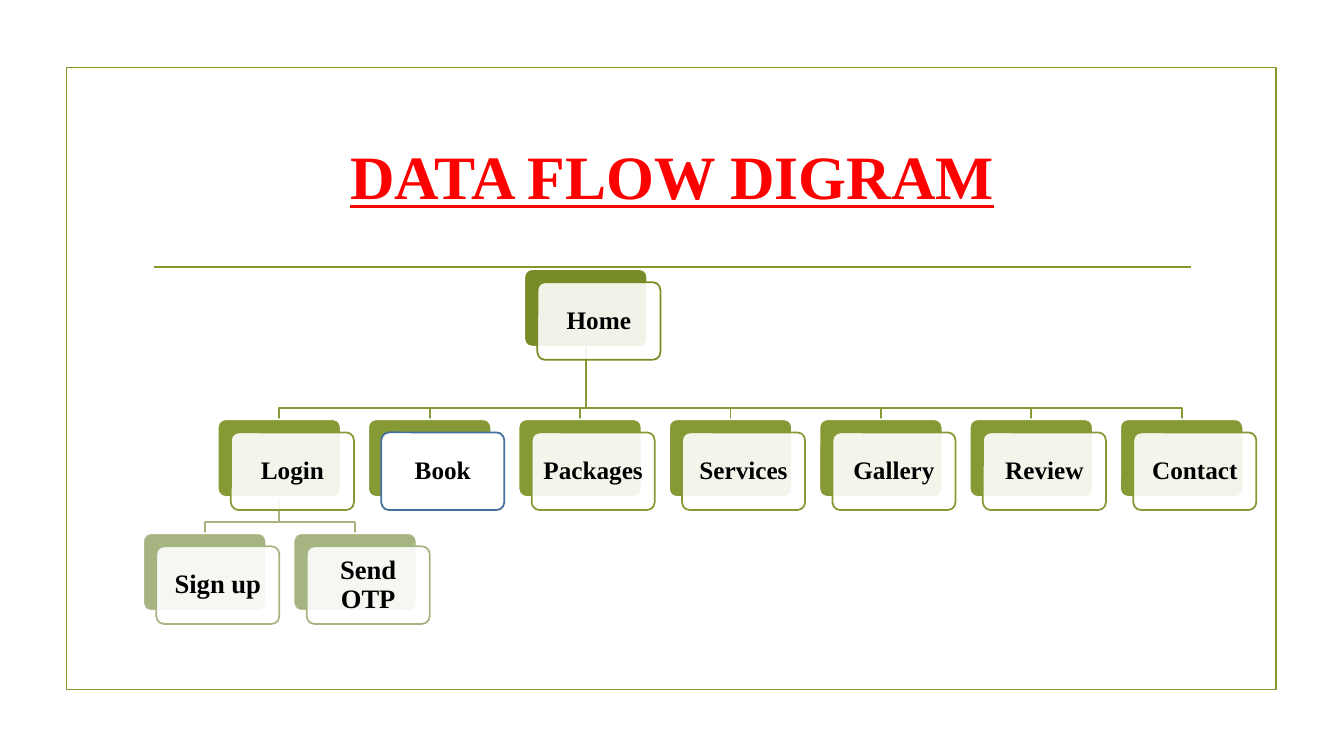
from dataclasses import dataclass
from lxml.etree import SubElement
from pptx import Presentation
from pptx.dml.color import RGBColor
from pptx.enum.shapes import MSO_CONNECTOR, MSO_SHAPE
from pptx.enum.text import MSO_ANCHOR, PP_ALIGN
from pptx.oxml.ns import qn
from pptx.util import Inches, Pt


@dataclass(frozen=True)
class Theme:
    font: str = "Times New Roman"
    title: RGBColor = RGBColor(0xFF, 0x00, 0x00)
    text: RGBColor = RGBColor(0x00, 0x00, 0x00)
    white: RGBColor = RGBColor(0xFF, 0xFF, 0xFF)
    frame: RGBColor = RGBColor(0x83, 0x99, 0x2A)
    root: RGBColor = RGBColor(0x77, 0x8B, 0x26)
    page: RGBColor = RGBColor(0x85, 0x9A, 0x34)
    step: RGBColor = RGBColor(0xA6, 0xB4, 0x82)
    accent: RGBColor = RGBColor(0x44, 0x70, 0x9D)
    line: Pt = Pt(1.25)
    title_size: Pt = Pt(44)
    page_size: Pt = Pt(18)
    step_size: Pt = Pt(19)


theme = Theme()
CARD_W, CARD_H, SHIFT = 1.22, 0.77, 0.13
PITCH = 8.95 / 6
HOME_X, HOME_Y = 5.2, 2.67
PAGE_X, PAGE_Y = 2.16, 4.16
STEP_X, STEP_Y = 1.42, 5.29

deck = Presentation()
deck.slide_width, deck.slide_height = Inches(13.33), Inches(7.5)
slide = deck.slides.add_slide(deck.slide_layouts[5])
shapes = slide.shapes


def add_card(x, y, fill, edge):
    card = shapes.add_shape(MSO_SHAPE.ROUNDED_RECTANGLE, Inches(x), Inches(y),
                            Inches(CARD_W), Inches(CARD_H))
    card.adjustments[0] = 0.1
    card.shadow.inherit = False
    card.fill.solid()
    card.fill.fore_color.rgb = fill
    card.line.color.rgb = edge
    card.line.width = theme.line
    return card


def style_text(frame, text, size, color):
    frame.text = text
    frame.word_wrap = True
    frame.vertical_anchor = MSO_ANCHOR.MIDDLE
    para = frame.paragraphs[0]
    para.alignment = PP_ALIGN.CENTER
    para.line_spacing = 0.9
    font = para.runs[0].font
    font.name, font.size, font.bold = theme.font, size, True
    font.color.rgb = color
    return font


# Frame, rule and title
border = shapes.add_shape(MSO_SHAPE.RECTANGLE, Inches(0.66), Inches(0.67),
                          Inches(12), Inches(6.17))
border.shadow.inherit = False
border.fill.background()
rule = shapes.add_connector(MSO_CONNECTOR.STRAIGHT, Inches(1.53), Inches(2.65),
                            Inches(11.81), Inches(2.65))
SubElement(rule._element.spPr, qn("a:effectLst"))
for part in (border, rule):
    part.line.color.rgb = theme.frame
    part.line.width = theme.line

title = shapes.title
title.left, title.top = Inches(1.42), Inches(1.07)
title.width, title.height = Inches(10.5), Inches(1.43)
font = style_text(title.text_frame, "DATA FLOW DIGRAM", theme.title_size, theme.title)
font.underline = True

# Cards of the tree: text, left, top, colour, type size
pages = ["Login", "Book", "Packages", "Services", "Gallery", "Review", "Contact"]
steps = ["Sign up", "Send OTP"]
home = ("Home", HOME_X, HOME_Y, theme.root, theme.page_size)
page_row = [(text, PAGE_X + i * PITCH, PAGE_Y, theme.page, theme.page_size)
            for i, text in enumerate(pages)]
step_row = [(text, STEP_X + i * PITCH, STEP_Y, theme.step, theme.step_size)
            for i, text in enumerate(steps)]

# Elbow links from each parent down to its children
for parent, row in ((home, page_row), (page_row[0], step_row)):
    start_x = Inches(parent[1] + CARD_W / 2)
    start_y = Inches(parent[2] + CARD_H)
    for text, x, y, color, size in row:
        end_x, bend_y = Inches(x + CARD_W / 2), Inches(y - 0.11)
        path = shapes.build_freeform(start_x, start_y)
        path.add_line_segments([(start_x, bend_y), (end_x, bend_y), (end_x, Inches(y))],
                               close=False)
        link = path.convert_to_shape()
        link.shadow.inherit = False
        link.fill.background()
        link.line.color.rgb = color
        link.line.width = theme.line

# Each card is a solid back with a pale front that holds the text
for text, x, y, color, size in [home, *page_row, *step_row]:
    add_card(x, y, color, theme.white)
    solid = text == "Book"
    front = add_card(x + SHIFT, y + SHIFT, theme.white, theme.accent if solid else color)
    if not solid:
        tint = front._element.spPr.find(qn("a:solidFill"))[0]
        SubElement(tint, qn("a:alpha"), val="90000")
    frame = front.text_frame
    frame.margin_left = frame.margin_right = Inches(0.09)
    frame.margin_top = frame.margin_bottom = Inches(0.09)
    style_text(frame, text, size, theme.text)

deck.save("out.pptx")
